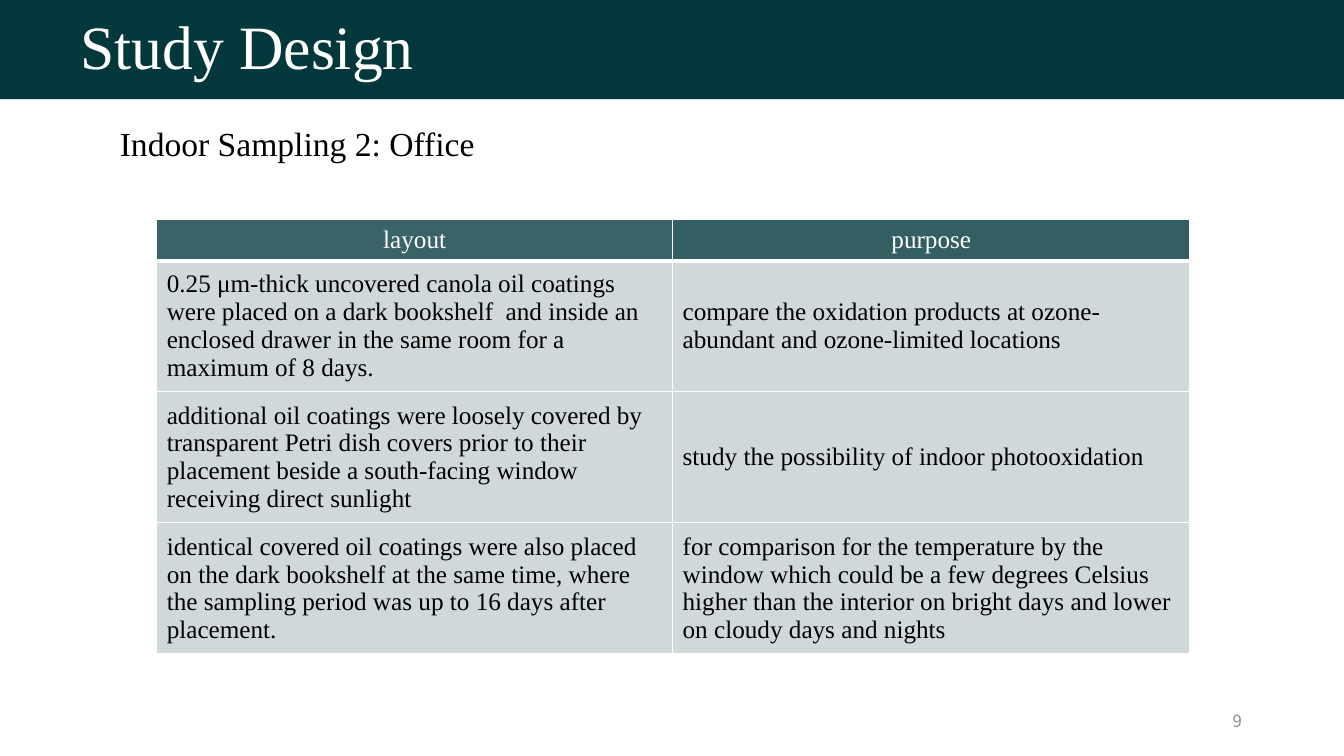
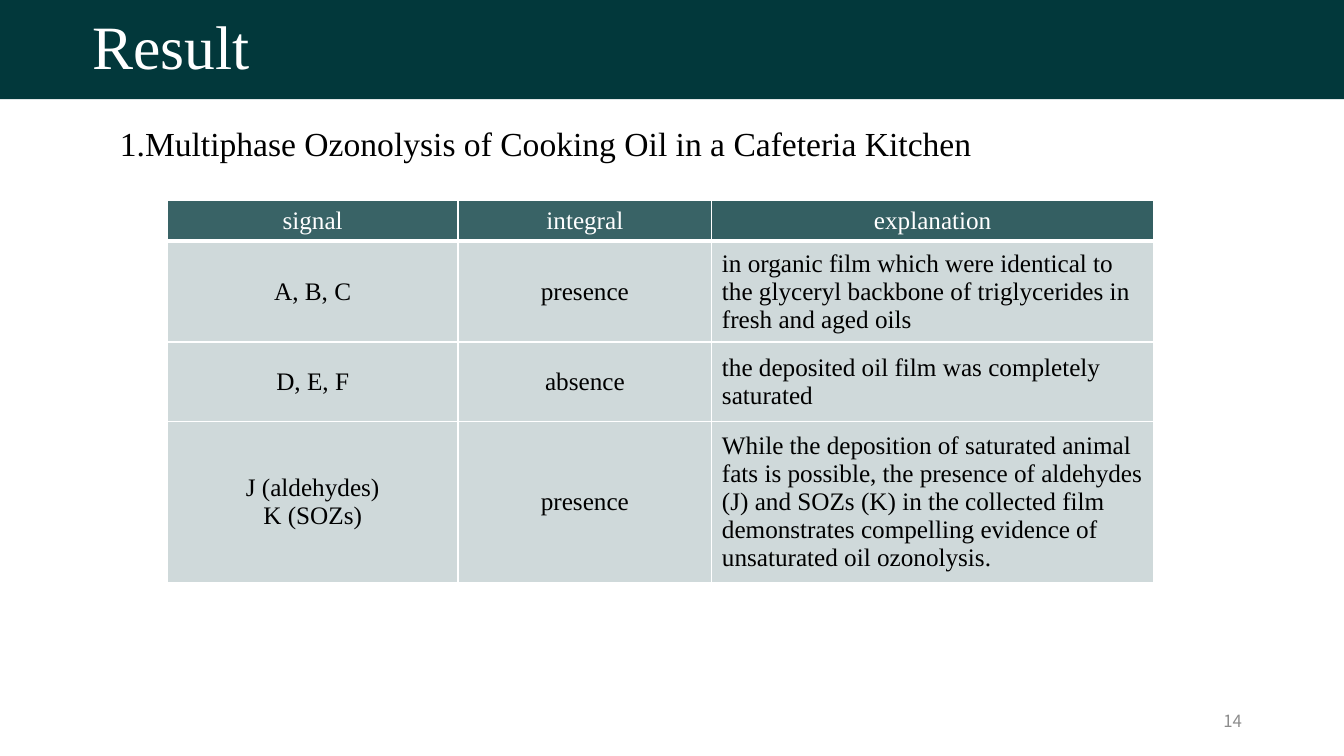
from lxml import etree
from pptx import Presentation
from pptx.dml.color import RGBColor
from pptx.enum.text import MSO_ANCHOR, PP_ALIGN
from pptx.oxml.ns import qn
from pptx.util import Cm, Pt

# Shared look
TEAL = RGBColor(0x02, 0x38, 0x3B)
WHITE = RGBColor(0xFF, 0xFF, 0xFF)
BLACK = RGBColor(0x00, 0x00, 0x00)
GREY = RGBColor(0x8C, 0x8C, 0x8C)
SERIF, SANS = "Times New Roman", "Noto Sans CJK SC"
LEFT, CENTER, RIGHT = PP_ALIGN.LEFT, PP_ALIGN.CENTER, PP_ALIGN.RIGHT
WIDTH, HEIGHT, BAND = Cm(33.87), Cm(19.05), Cm(2.5)
HEAD_OPACITY, LAST_HEAD_OPACITY, BODY_OPACITY = 78, 80, 19  # percent
THIN, THICK = Pt(1), Pt(3)

# Content: lengths in cm; a line break in a cell starts a new paragraph
SLIDES = [
    {
        "title": "Study Design", "indent": 2.02, "number": "9",
        "subtitle": "Indoor Sampling 2: Office", "subtitle_width": 17.73,
        "table_at": (3.95, 5.52),
        "cols": [13, 13.04], "rows": [1.05, 3.3, 3.3, 3.3],
        "aligns": [LEFT, LEFT],
        "cells": [
            ["layout", "purpose"],
            ["0.25 μm-thick uncovered canola oil coatings were placed on a dark "
             "bookshelf  and inside an enclosed drawer in the same room for a "
             "maximum of 8 days.",
             "compare the oxidation products at ozone-abundant and "
             "ozone-limited locations"],
            ["additional oil coatings were loosely covered by transparent Petri "
             "dish covers prior to their placement beside a south-facing window "
             "receiving direct sunlight",
             "study the possibility of indoor photooxidation"],
            ["identical covered oil coatings were also placed on the dark "
             "bookshelf at the same time, where the sampling period was up to "
             "16 days after placement.",
             "for comparison for the temperature by the window which could be a "
             "few degrees Celsius higher than the interior on bright days and "
             "lower on cloudy days and nights"],
        ],
    },
    {
        "title": "Result", "indent": 2.32, "number": "14",
        "subtitle": "1.Multiphase Ozonolysis of Cooking Oil in a Cafeteria Kitchen",
        "subtitle_width": 22.8,
        "table_at": (4.22, 5.06),
        "cols": [7.32, 6.4, 11.13], "rows": [1, 2.38, 2, 3.76],
        "aligns": [CENTER, CENTER, LEFT],
        "cells": [
            ["signal", "integral", "explanation"],
            ["A, B, C", "presence",
             "in organic film which were identical to the glyceryl backbone of "
             "triglycerides in fresh and aged oils"],
            ["D, E, F", "absence",
             "the deposited oil film was completely saturated"],
            ["J (aldehydes)\nK (SOZs)", "presence",
             "While the deposition of saturated animal fats is possible, the "
             "presence of aldehydes (J) and SOZs (K) in the collected film\n"
             "demonstrates compelling evidence of unsaturated oil ozonolysis."],
        ],
    },
]


def write(tf, content, size, color, font=SERIF, align=LEFT):
    for i, line in enumerate(content.split("\n")):
        p = tf.paragraphs[0] if i == 0 else tf.add_paragraph()
        p.alignment = align
        r = p.add_run()
        r.text = line
        r.font.name, r.font.size, r.font.bold = font, Pt(size), False
        r.font.color.rgb = color


def add_title(s, content, indent):
    sp = s.shapes.title
    sp.left, sp.top, sp.width, sp.height = 0, 0, WIDTH, BAND
    sp.fill.solid()
    sp.fill.fore_color.rgb = TEAL
    tf = sp.text_frame
    tf.margin_left = Cm(indent)
    tf.vertical_anchor = MSO_ANCHOR.MIDDLE
    write(tf, content, 44, WHITE)
    tf.paragraphs[0].line_spacing = 0.9


def add_text(s, box, content, size, color, **style):
    tf = s.shapes.add_textbox(*map(Cm, box)).text_frame
    tf.word_wrap = True
    write(tf, content, size, color, **style)
    return tf


def style_cell(cell, opacity, top, bottom):
    cell.vertical_anchor = MSO_ANCHOR.MIDDLE
    cell.fill.solid()
    cell.fill.fore_color.rgb = TEAL
    tc_pr = cell._tc.get_or_add_tcPr()
    color = tc_pr.find(qn("a:solidFill")).find(qn("a:srgbClr"))
    etree.SubElement(color, qn("a:alpha"), val=str(opacity * 1000))
    # Borders come before the fill
    borders = [("a:lnL", THIN), ("a:lnR", THIN), ("a:lnT", top), ("a:lnB", bottom)]
    for i, (tag, width) in enumerate(borders):
        ln = etree.Element(qn(tag), w=str(int(width)))
        fill = etree.SubElement(ln, qn("a:solidFill"))
        etree.SubElement(fill, qn("a:srgbClr"), val=str(WHITE))
        tc_pr.insert(i, ln)


def add_table(s, data):
    cols, rows, cells = data["cols"], data["rows"], data["cells"]
    x, y = data["table_at"]
    table = s.shapes.add_table(len(rows), len(cols), Cm(x), Cm(y),
                               Cm(sum(cols)), Cm(sum(rows))).table
    for col, width in zip(table.columns, cols):
        col.width = Cm(width)
    for row, height in zip(table.rows, rows):
        row.height = Cm(height)
    for i, line in enumerate(cells):
        for j, content in enumerate(line):
            cell = table.cell(i, j)
            if i == 0:
                last = j == len(cols) - 1
                opacity = LAST_HEAD_OPACITY if last else HEAD_OPACITY
                color, align = WHITE, CENTER
            else:
                opacity, color, align = BODY_OPACITY, BLACK, data["aligns"][j]
            style_cell(cell, opacity, THICK if i == 1 else THIN,
                       THICK if i == 0 else THIN)
            write(cell.text_frame, content, 18, color, align=align)


def main():
    prs = Presentation()
    prs.slide_width, prs.slide_height = WIDTH, HEIGHT
    title_only = prs.slide_layouts[5]
    for data in SLIDES:
        s = prs.slides.add_slide(title_only)
        add_title(s, data["title"], data["indent"])
        add_text(s, (2.77, 2.97, data["subtitle_width"], 1.27),
                 data["subtitle"], 24, BLACK)
        add_table(s, data)
        # Page number
        tf = add_text(s, (23.93, 17.65, 7.62, 1.02), data["number"], 12, GREY,
                      font=SANS, align=RIGHT)
        tf.vertical_anchor = MSO_ANCHOR.MIDDLE
    prs.save("out.pptx")


if __name__ == "__main__":
    main()
